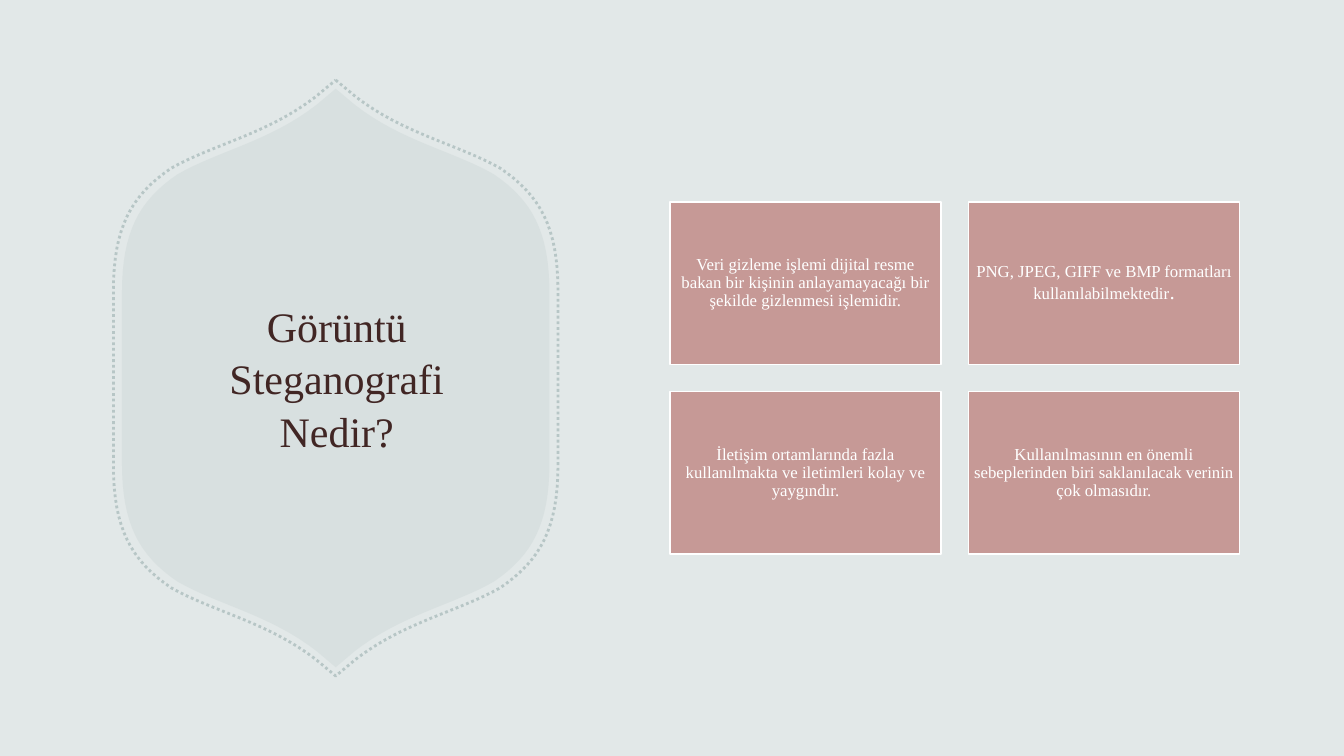
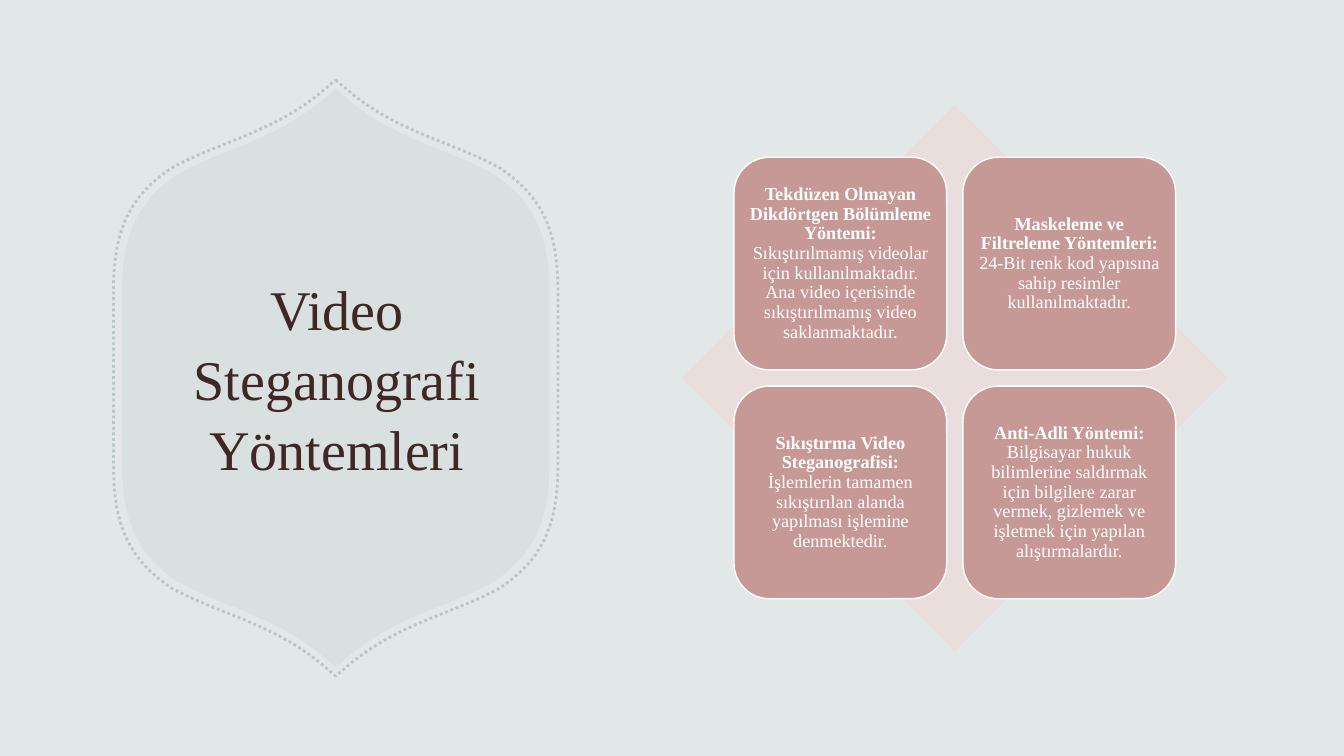
"""Two slides on image and video steganography, each an emblem title beside a two-by-two card grid."""
import lxml.etree
import pptx
import pptx.util
import pptx.dml.color
import pptx.enum.dml
import pptx.enum.shapes
import pptx.enum.text
import pptx.oxml.ns

Inches = pptx.util.Inches
Pt = pptx.util.Pt
SHAPE = pptx.enum.shapes.MSO_SHAPE

FONT = "Times New Roman"
COLORS = {
    "background": "E2E8E8",
    "emblem": "A2B5B5",
    "title": "412624",
    "card": "C69996",
    "diamond": "EADEDD",
    "white": "FFFFFF",
}

SLIDES = [
    {
        "title": "Görüntü Steganografi Nedir?",
        "title_size": 30,
        "card_shape": SHAPE.RECTANGLE,
        "card_size": (2.69, 1.61),
        "gap": 0.27,
        "diamond_size": None,
        "cards": [
            [("Veri gizleme işlemi dijital resme bakan bir kişinin anlayamayacağı "
              "bir şekilde gizlenmesi işlemidir.", 12, False)],
            [("PNG, JPEG, GIFF ve BMP formatları kullanılabilmektedir", 12, False),
             (".", 15, False)],
            [("İletişim ortamlarında fazla kullanılmakta ve iletimleri kolay ve "
              "yaygındır.", 12, False)],
            [("Kullanılmasının en önemli sebeplerinden biri saklanılacak verinin "
              "çok olmasıdır.", 12, False)],
        ],
    },
    {
        "title": "Video Steganografi Yöntemleri",
        "title_size": 40,
        "card_shape": SHAPE.ROUNDED_RECTANGLE,
        "card_size": (2.11, 2.11),
        "gap": 0.16,
        "diamond_size": 5.42,
        "cards": [
            [("Tekdüzen Olmayan Dikdörtgen Bölümleme Yöntemi: ", 13, True),
             ("Sıkıştırılmamış videolar için kullanılmaktadır. Ana video içerisinde "
              "sıkıştırılmamış video saklanmaktadır.", 13, False)],
            [("Maskeleme ve Filtreleme Yöntemleri: ", 13, True),
             ("24-Bit renk kod yapısına sahip resimler kullanılmaktadır.", 13, False)],
            [("Sıkıştırma Video Steganografisi: ", 13, True),
             ("İşlemlerin tamamen sıkıştırılan alanda yapılması işlemine "
              "denmektedir.", 13, False)],
            [("Anti-Adli Yöntemi: ", 13, True),
             ("Bilgisayar hukuk bilimlerine saldırmak için bilgilere zarar vermek, "
              "gizlemek ve işletmek için yapılan alıştırmalardır.", 13, False)],
        ],
    },
]

EMBLEM_CENTER = (3.33, 3.75)
EMBLEM_APEX = (0, -2.87)
EMBLEM_CURVES = [
    [(0.19, -2.71), (0.65, -2.35), (1.17, -2.25), (1.57, -2.02)],
    [(1.57, -2.02), (1.95, -1.76), (2.12, -1.45), (2.12, -0.84)],
]
BORDER_SCALE = (1.04, 1.03)
CURVE_STEPS = 16
TITLE_BOX = (1.6, 2.11, 3.48, 3.26)
GRID_CENTER = (9.47, 3.75)


def color(name):
    return pptx.dml.color.RGBColor.from_string(COLORS[name])


def paint(fill, name, opacity=100):
    fill.solid()
    fill.fore_color.rgb = color(name)
    if opacity < 100:
        for element in list(fill._xPr.iter(pptx.oxml.ns.qn("a:srgbClr"))):
            alpha = lxml.etree.SubElement(element, pptx.oxml.ns.qn("a:alpha"))
            alpha.set("val", str(opacity * 1000))


def bezier(controls, t):
    weights = ((1 - t) ** 3, 3 * t * (1 - t) ** 2, 3 * t ** 2 * (1 - t), t ** 3)
    return tuple(sum(w * point[axis] for w, point in zip(weights, controls)) for axis in (0, 1))


def emblem_outline():
    quarter = [EMBLEM_APEX] + [
        bezier(curve, step / CURVE_STEPS)
        for curve in EMBLEM_CURVES
        for step in range(CURVE_STEPS + 1)
    ]
    half = quarter + [(x, -y) for x, y in reversed(quarter)]
    return half + [(-x, -y) for x, y in half[1:-1]]


def add_emblem_shape(slide, scale):
    points = [
        tuple(Inches(center + value * factor)
              for center, value, factor in zip(EMBLEM_CENTER, point, scale))
        for point in emblem_outline()
    ]
    builder = slide.shapes.build_freeform(*points[0])
    builder.add_line_segments(points[1:], close=True)
    shape = builder.convert_to_shape()
    shape.shadow.inherit = False
    return shape


def add_emblem(slide):
    panel = add_emblem_shape(slide, (1, 1))
    paint(panel.fill, "emblem", 15)
    panel.line.fill.background()
    border = add_emblem_shape(slide, BORDER_SCALE)
    border.fill.background()
    border.line.width = Pt(2)
    paint(border.line.fill, "emblem", 65)
    border.line.dash_style = pptx.enum.dml.MSO_LINE.ROUND_DOT


def write_centered(shape, runs, color_name, line_spacing):
    text_frame = shape.text_frame
    text_frame.word_wrap = True
    text_frame.vertical_anchor = pptx.enum.text.MSO_ANCHOR.MIDDLE
    paragraph = text_frame.paragraphs[0]
    paragraph.alignment = pptx.enum.text.PP_ALIGN.CENTER
    paragraph.line_spacing = line_spacing
    for text, size, bold in runs:
        run = paragraph.add_run()
        run.text = text
        run.font.name = FONT
        run.font.size = Pt(size)
        run.font.bold = bold
        run.font.color.rgb = color(color_name)


def add_centered_shape(slide, preset, center, size, fill_name):
    left, top = (middle - length / 2 for middle, length in zip(center, size))
    shape = slide.shapes.add_shape(preset, *map(Inches, (left, top, *size)))
    shape.shadow.inherit = False
    paint(shape.fill, fill_name)
    shape.line.fill.background()
    return shape


def add_cards(slide, content):
    size, gap = content["card_size"], content["gap"]
    for index, runs in enumerate(content["cards"]):
        row, column = divmod(index, 2)
        center = [
            middle + (position - 0.5) * (length + gap)
            for middle, position, length in zip(GRID_CENTER, (column, row), size)
        ]
        card = add_centered_shape(slide, content["card_shape"], center, size, "card")
        paint(card.line.fill, "white")
        card.line.width = Pt(1)
        text_frame = card.text_frame
        text_frame.margin_left = text_frame.margin_right = Inches(0.05)
        text_frame.margin_top = text_frame.margin_bottom = Inches(0.05)
        write_centered(card, runs, "white", 0.9)


def add_slide(presentation, content):
    slide = presentation.slides.add_slide(presentation.slide_layouts[6])
    paint(slide.background.fill, "background")
    add_emblem(slide)
    title = slide.shapes.add_textbox(*map(Inches, TITLE_BOX))
    write_centered(title, [(content["title"], content["title_size"], False)], "title", 1.04)
    if content["diamond_size"]:
        add_centered_shape(slide, SHAPE.DIAMOND, GRID_CENTER,
                           (content["diamond_size"],) * 2, "diamond")
    add_cards(slide, content)


def main():
    presentation = pptx.Presentation()
    presentation.slide_width = Inches(13.33)
    presentation.slide_height = Inches(7.5)
    for content in SLIDES:
        add_slide(presentation, content)
    presentation.save("out.pptx")


if __name__ == "__main__":
    main()
